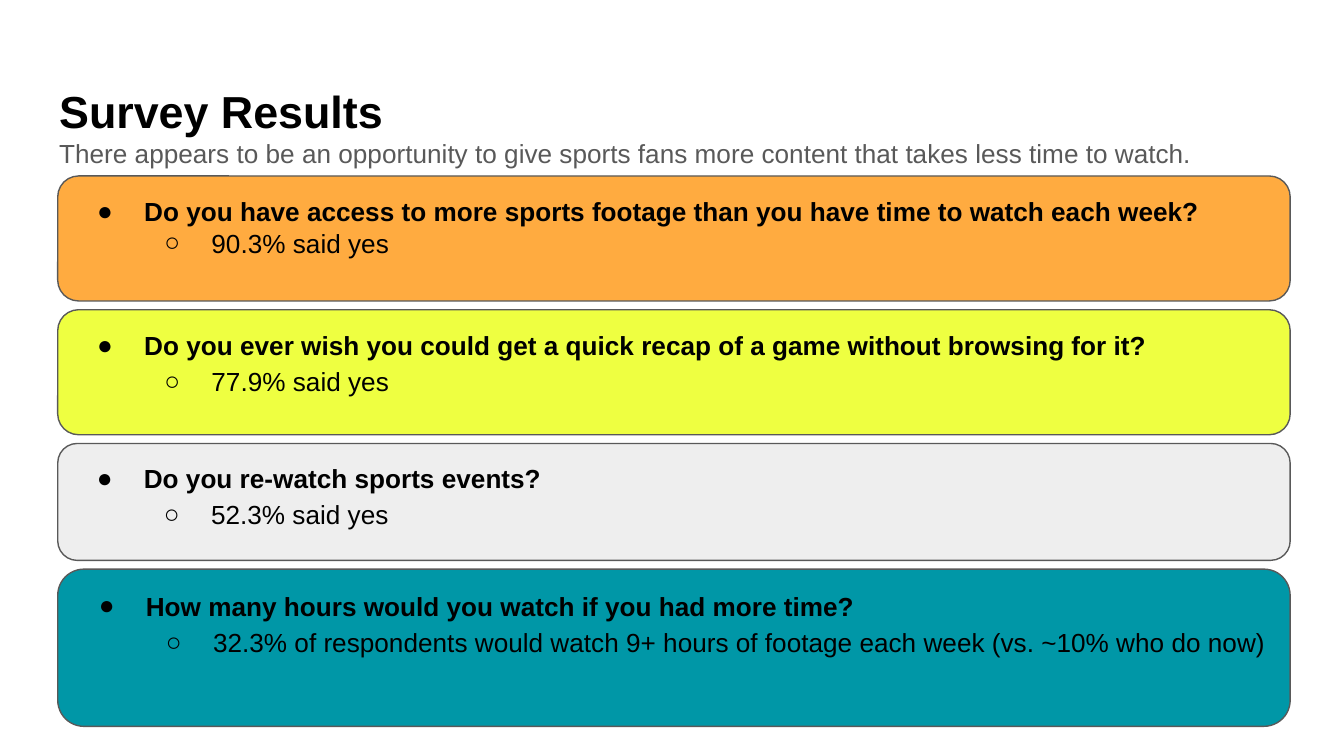
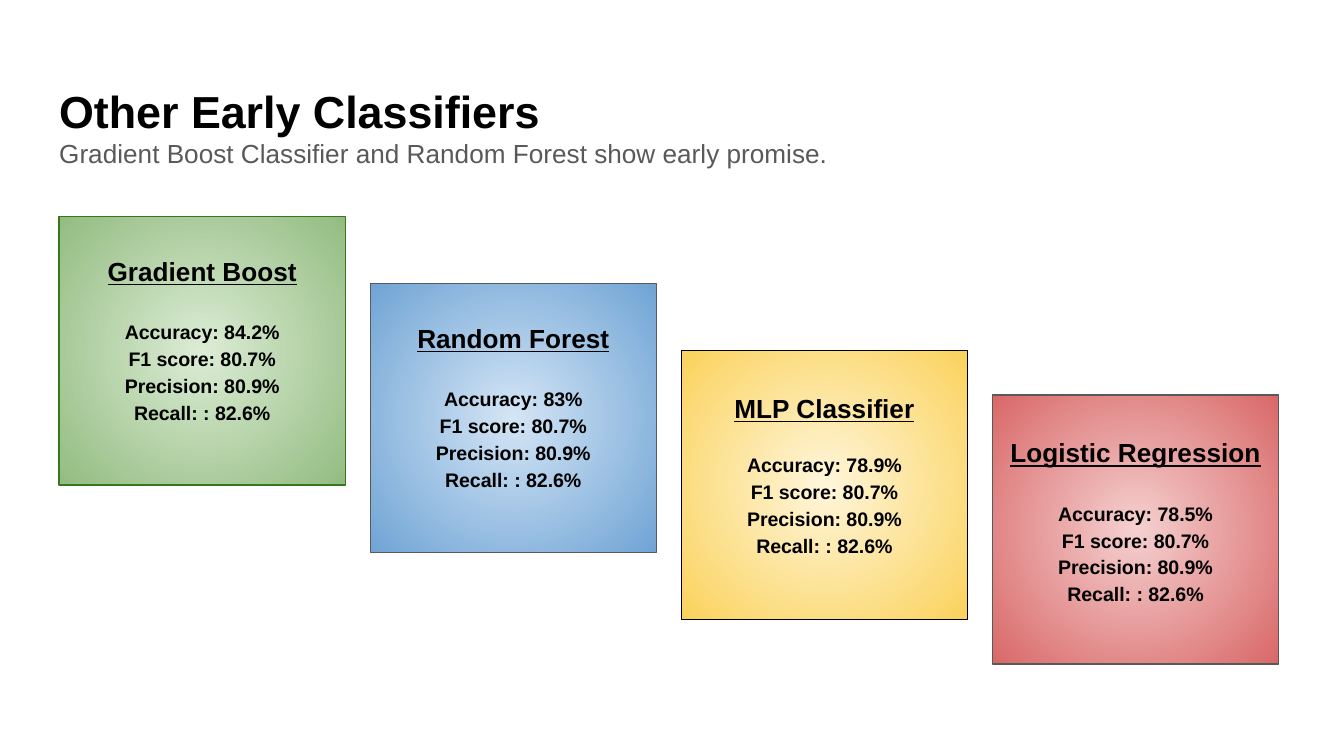
"""Build the survey results and early classifiers slides."""
from copy import deepcopy
from dataclasses import dataclass

from pptx import Presentation
from pptx import util as u
from pptx.dml.color import RGBColor
from pptx.enum import shapes, text
from pptx.oxml import ns
from pptx.oxml.xmlchemy import OxmlElement

PX = 4572


@dataclass(frozen=True)
class Theme:
    """Colours, font and type sizes used on every slide."""
    font: str = "Arial"
    ink: str = "000000"
    muted: str = "595959"
    green: str = "38761D"
    title: float = 24
    body: float = 14
    metric: float = 10.5
    line: float = 0.75
    spacing: float = 1.15


T = Theme()


@dataclass(frozen=True)
class Bar:
    """A survey question with its answer."""
    question: str
    answer: str
    fill: str
    height: int
    answer_format: dict


@dataclass(frozen=True)
class Card:
    """A classifier with its scores."""
    name: str
    accuracy: str
    top: int
    text_top: int
    gap: int
    inner: str
    outer: str
    line: str = T.muted


LOOSE = {"line_spacing": T.spacing, "space_after": u.Pt(16)}

BARS = [
    Bar("Do you have access to more sports footage than you have time to watch each week?",
        "90.3% said yes", "FFAB40", 186, {}),
    Bar("Do you ever wish you could get a quick recap of a game without browsing for it?",
        "77.9% said yes", "EEFF41", 186, LOOSE),
    Bar("Do you re-watch sports events?", "52.3% said yes", "EEEEEE", 174, LOOSE),
    Bar("How many hours would you watch if you had more time?",
        "32.3% of respondents would watch 9+ hours of footage each week (vs. ~10% who do now)",
        "0097A7", 234, LOOSE),
]

CARDS = [
    Card("Gradient Boost", "84.2%", 322, 58, 16, "DCECD5", "93BC81", T.green),
    Card("Random Forest", "83%", 422, 58, 16, "D4E5F5", "70A4D5"),
    Card("MLP Classifier", "78.9%", 522, 62, 14, "FFF6DB", "FAD25C", T.ink),
    Card("Logistic Regression", "78.5%", 588, 62, 16, "F5D0D0", "D96868"),
]


def px(n: int) -> u.Emu:
    """Turn whole pixels into EMU."""
    return u.Emu(n * PX)


def apply(obj, values: dict) -> None:
    """Set attributes from a dict of format values."""
    for name, value in values.items():
        setattr(obj, name, value)


def add_child(parent, tag: str, **attrs: str):
    """Append an XML element with attributes."""
    el = OxmlElement(tag)
    for name, value in attrs.items():
        el.set(name, value)
    parent.append(el)
    return el


def set_frame(tf, top: int = 20) -> None:
    """Format a text frame with fixed insets."""
    apply(tf, {"word_wrap": True, "auto_size": text.MSO_AUTO_SIZE.NONE,
               "vertical_anchor": text.MSO_ANCHOR.TOP, "margin_left": px(20),
               "margin_right": px(20), "margin_top": px(top), "margin_bottom": px(20)})


def write(p, words: str, size: float, color: str = T.ink, bold: bool = True,
          underline: bool = False, **layout) -> None:
    """Fill and format one paragraph."""
    p.text = words
    apply(p, {"alignment": text.PP_ALIGN.LEFT, **layout})
    for r in p.runs:
        apply(r.font, {"name": T.font, "size": u.Pt(size), "bold": bold,
                       "underline": underline})
        r.font.color.rgb = RGBColor.from_string(color)
    for br in p._p.findall(ns.qn("a:br")):
        br.append(deepcopy(p.runs[0]._r.rPr))


def set_bullet(p, level: int, mark: str) -> None:
    """Give a paragraph a hanging bullet."""
    p.level = level
    pPr = p._p.get_or_add_pPr()
    pPr.set("marL", str(px(100 * (level + 1))))
    pPr.set("indent", str(px(-70)))
    add_child(add_child(pPr, "a:buClr"), "a:srgbClr", val=T.ink)
    add_child(pPr, "a:buFont", typeface=T.font)
    add_child(pPr, "a:buChar", char=mark)


def add_box(s, kind, left: int, top: int, width: int, height: int, line: str):
    """Add an outlined shape without a shadow."""
    sp = s.shapes.add_shape(kind, px(left), px(top), px(width), px(height))
    sp.shadow.inherit = False
    sp.line.color.rgb = RGBColor.from_string(line)
    sp.line.width = u.Pt(T.line)
    return sp


def set_radial(sp, inner: str, outer: str) -> None:
    """Fill a shape with a gradient from its centre."""
    sp.fill.gradient()
    for stop, position, color in zip(sp.fill.gradient_stops, (0, 1), (inner, outer)):
        stop.color.rgb = RGBColor.from_string(color)
        stop.position = position
    grad = sp._element.spPr.find(ns.qn("a:gradFill"))
    grad.remove(grad.find(ns.qn("a:lin")))
    circle = add_child(grad, "a:path", path="circle")
    add_child(circle, "a:fillToRect", **dict.fromkeys("ltrb", "50000"))


def add_slide(prs, title: str, subtitle: str):
    """Add a slide with its title and subtitle."""
    s = prs.slides.add_slide(prs.slide_layouts[5])
    sp = s.shapes.title
    apply(sp, {"left": px(68), "top": px(98), "width": px(1864), "height": px(126)})
    tf = sp.text_frame
    set_frame(tf, 26)
    write(tf.paragraphs[0], title, T.title)
    write(tf.add_paragraph(), subtitle, T.body, T.muted, bold=False)
    return s


def add_bar(s, bar: Bar, top: int) -> None:
    """Draw one survey question."""
    sp = add_box(s, shapes.MSO_SHAPE.ROUNDED_RECTANGLE, 86, top, 1834, bar.height, T.muted)
    sp.fill.solid()
    sp.fill.fore_color.rgb = RGBColor.from_string(bar.fill)
    tf = sp.text_frame
    set_frame(tf)
    question, answer = tf.paragraphs[0], tf.add_paragraph()
    set_bullet(question, 0, "●")
    set_bullet(answer, 1, "○")
    write(question, bar.question, T.body)
    write(answer, bar.answer, T.body, bold=False, **bar.answer_format)


def add_card(s, card: Card, left: int) -> None:
    """Draw one classifier."""
    sp = add_box(s, shapes.MSO_SHAPE.RECTANGLE, left, card.top, 426, 400, card.line)
    set_radial(sp, card.inner, card.outer)
    tf = sp.text_frame
    set_frame(tf, card.text_top)
    center = text.PP_ALIGN.CENTER
    write(tf.paragraphs[0], card.name, T.body, underline=True, alignment=center)
    scores = f"Accuracy: {card.accuracy}\vF1 score: 80.7%\vPrecision: 80.9%\vRecall: : 82.6%"
    write(tf.add_paragraph(), scores, T.metric, alignment=center,
          line_spacing=T.spacing, space_before=u.Pt(card.gap))


def main() -> None:
    """Build and save the slides."""
    prs = Presentation()
    apply(prs, {"slide_width": px(2000), "slide_height": px(1125)})

    s = add_slide(prs, "Survey Results",
                  "There appears to be an opportunity to give sports fans more content "
                  "that takes less time to watch.")
    top = 262
    for bar in BARS:
        add_bar(s, bar, top)
        top += bar.height + 13

    s = add_slide(prs, "Other Early Classifiers",
                  "Gradient Boost Classifier and Random Forest show early promise.")
    for i, card in enumerate(CARDS):
        add_card(s, card, 88 + 463 * i)

    prs.save("out.pptx")


if __name__ == "__main__":
    main()
